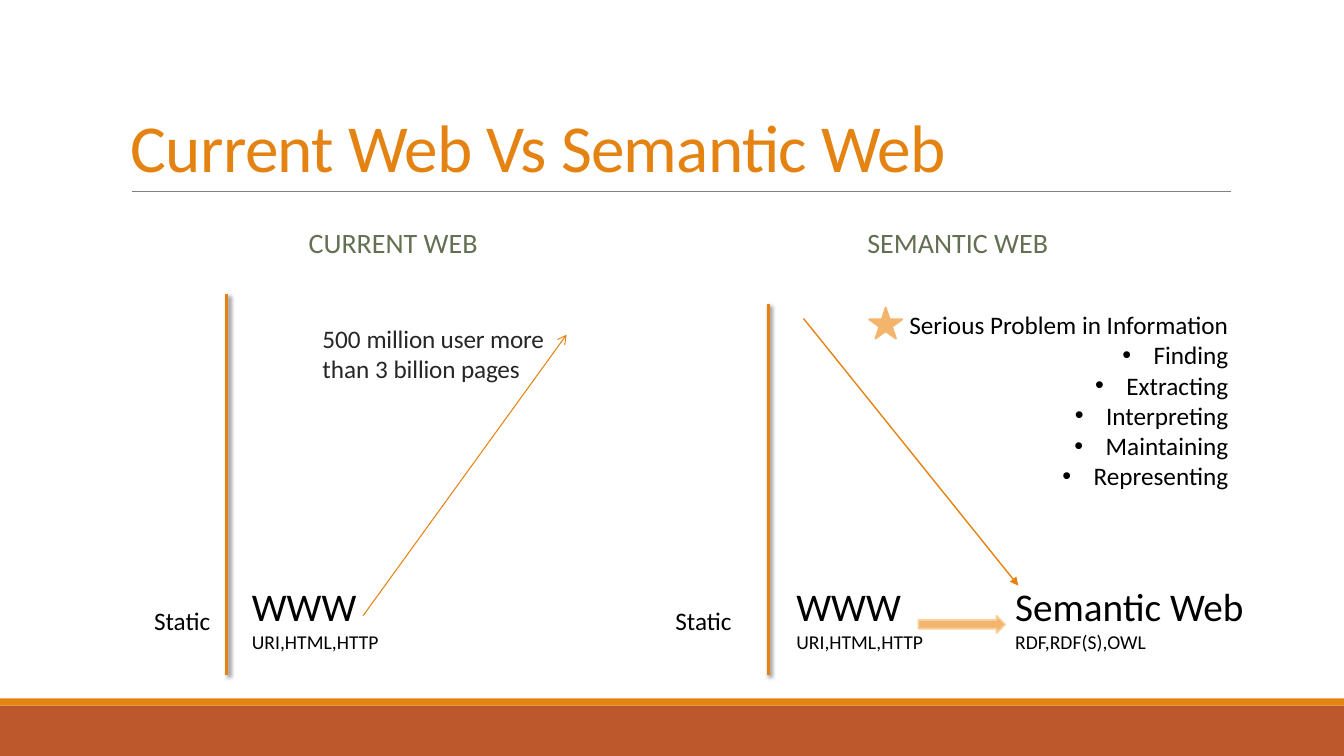
from lxml.etree import SubElement
from pptx import Presentation
from pptx.dml.color import RGBColor
from pptx.enum.shapes import MSO_CONNECTOR, MSO_SHAPE
from pptx.enum.text import MSO_ANCHOR, MSO_AUTO_SIZE, PP_ALIGN
from pptx.oxml.ns import qn
from pptx.util import Inches, Pt

ORANGE = RGBColor(0xE4, 0x83, 0x12)
RUST = RGBColor(0xBD, 0x58, 0x2C)
PEACH = RGBColor(0xF3, 0xB5, 0x6C)
PALE_PEACH = RGBColor(0xF7, 0xCE, 0x9D)
OLIVE = RGBColor(0x63, 0x70, 0x52)
GRAY = RGBColor(0x80, 0x80, 0x80)
CHARCOAL = RGBColor(0x26, 0x26, 0x26)
BLACK = RGBColor(0, 0, 0)


def write(paragraph, text, size=18, color=BLACK, tracking=0):
    """Add one formatted run; tracking is in points."""
    run = paragraph.add_run()
    run.text = text
    run.font.name = "Calibri"
    run.font.size = Pt(size)
    run.font.color.rgb = color
    if tracking:
        run.font._element.set("spc", str(round(tracking * 100)))


class WebSlide:
    font_size = 18

    def __init__(self, deck):
        self.shapes = deck.slides.add_slide(deck.slide_layouts[6]).shapes

    def box(self, left, top, width, height, anchor=MSO_ANCHOR.TOP, grow=True):
        frame = self.shapes.add_textbox(
            Inches(left), Inches(top), Inches(width), Inches(height)).text_frame
        frame.word_wrap = True
        frame.vertical_anchor = anchor
        frame.auto_size = MSO_AUTO_SIZE.SHAPE_TO_FIT_TEXT if grow else MSO_AUTO_SIZE.NONE
        return frame

    def shape(self, kind, left, top, width, height, fill, outline=None):
        shape = self.shapes.add_shape(
            kind, Inches(left), Inches(top), Inches(width), Inches(height))
        shape.shadow.inherit = False
        shape.fill.solid()
        shape.fill.fore_color.rgb = fill
        if outline is None:
            shape.line.fill.background()
        else:
            shape.line.color.rgb = outline
            shape.line.width = Pt(1.25)

    def line(self, start, end, color=ORANGE, width=1, head=None, shadow=False):
        line = self.shapes.add_connector(
            MSO_CONNECTOR.STRAIGHT, *map(Inches, start + end))
        line.line.color.rgb = color
        line.line.width = Pt(width)
        if head:
            SubElement(line.line._get_or_add_ln(), qn("a:tailEnd"), type=head)
        effects = SubElement(line._element.spPr, qn("a:effectLst"))
        if shadow:
            outer = SubElement(effects, qn("a:outerShdw"), blurRad=str(Pt(3)),
                               dist=str(Pt(2)), dir="2700000", rotWithShape="0")
            black = SubElement(outer, qn("a:srgbClr"), val="000000")
            SubElement(black, qn("a:alpha"), val="60000")

    def heading(self, left, text):
        frame = self.box(left, 2.02, 5.4, 0.81, MSO_ANCHOR.MIDDLE, grow=False)
        paragraph = frame.paragraphs[0]
        paragraph.alignment = PP_ALIGN.CENTER
        paragraph.line_spacing = 0.9
        paragraph.space_before = Pt(12)
        paragraph.space_after = Pt(2)
        write(paragraph, text, size=20, color=OLIVE)

    def technology(self, left, width, name, standards):
        frame = self.box(left, 5.73, width, 0.81)
        write(frame.paragraphs[0], name, size=28)
        write(frame.add_paragraph(), standards, size=14)

    def axis(self, x, top, label_left, label_width):
        label = self.box(label_left, 5.96, label_width, 0.4)
        write(label.paragraphs[0], "Static", size=self.font_size)
        self.line((x, top), (x, 6.7), width=2, shadow=True)

    def problems(self, title, items):
        frame = self.box(8.34, 3.02, 3.94, 2.22)
        first = frame.paragraphs[0]
        first.alignment = PP_ALIGN.RIGHT
        write(first, title, size=self.font_size)
        for item in items:
            bullet = frame.add_paragraph()
            bullet.alignment = PP_ALIGN.RIGHT
            properties = bullet._p.get_or_add_pPr()
            properties.set("marL", str(Inches(0.31)))
            properties.set("indent", str(-Inches(0.31)))
            SubElement(properties, qn("a:buFont"), typeface="Arial")
            SubElement(properties, qn("a:buChar"), char="•")
            write(bullet, item, size=self.font_size)


def main():
    deck = Presentation()
    deck.slide_width, deck.slide_height = Inches(13.33), Inches(7.5)
    slide = WebSlide(deck)

    # Footer bands and title
    slide.shape(MSO_SHAPE.RECTANGLE, 0, 7, 13.33, 0.5, RUST)
    slide.shape(MSO_SHAPE.RECTANGLE, 0, 6.93, 13.33, 0.07, ORANGE)
    slide.line((1.31, 1.9), (12.21, 1.9), color=GRAY, width=0.5)
    title = slide.box(1.2, 0.31, 11, 1.59, MSO_ANCHOR.BOTTOM, grow=False).paragraphs[0]
    title.line_spacing = 0.85
    write(title, "Current Web Vs Semantic Web", size=48, color=ORANGE, tracking=-0.5)

    # Column headings
    slide.heading(1.2, "CURRENT WEB")
    slide.heading(6.8, "SEMANTIC WEB")

    # Current web
    slide.technology(2.4, 1.92, "WWW", "URI,HTML,HTTP")
    slide.line((3.6, 6.11), (5.62, 3.32), width=0.75, head="arrow")
    growth = slide.box(3.1, 3.16, 2.59, 1.01).paragraphs[0]
    for text, tracking in (("500 ", 0), ("million user more ", -0.1),
                           ("than 3 ", 0), ("billion pages", -0.1)):
        write(growth, text, color=CHARCOAL, tracking=tracking)
    slide.axis(2.25, 2.92, label_left=1.43, label_width=1)

    # Semantic web
    slide.axis(7.62, 3.02, label_left=6.6, label_width=0.88)
    slide.technology(7.8, 1.64, "WWW", "URI,HTML,HTTP")
    slide.technology(9.97, 2.54, "Semantic Web", "RDF,RDF(S),OWL")
    slide.shape(MSO_SHAPE.RIGHT_ARROW, 9.11, 6.11, 0.86, 0.17, PEACH, PALE_PEACH)
    slide.line((7.97, 3.16), (10.1, 5.81), head="triangle")
    slide.problems("Serious Problem in Information",
                   ("Finding", "Extracting", "Interpreting", "Maintaining", "Representing"))
    slide.shape(MSO_SHAPE.STAR_5_POINT, 8.62, 3.05, 0.33, 0.31, PEACH, PEACH)

    deck.save("out.pptx")


if __name__ == "__main__":
    main()
